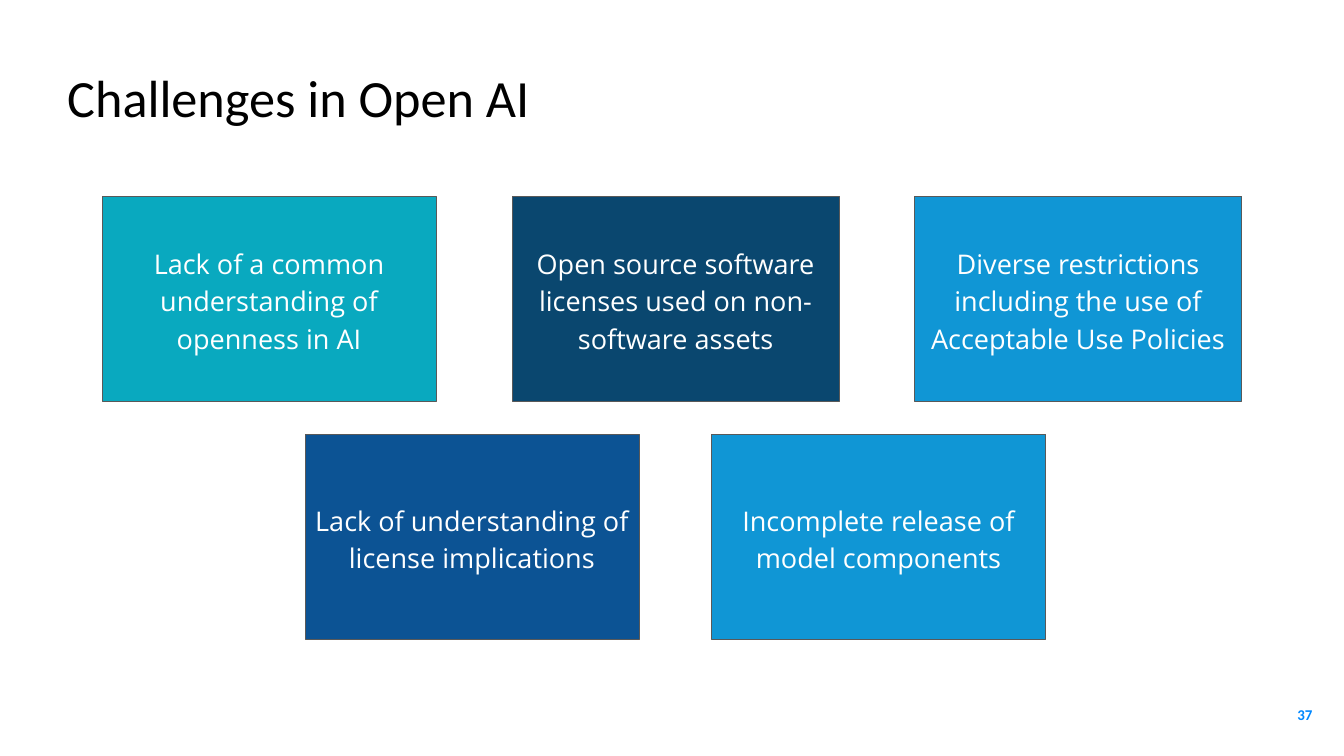
from pptx import Presentation
from pptx.dml.color import RGBColor
from pptx.enum.shapes import MSO_SHAPE
from pptx.enum.text import MSO_ANCHOR, MSO_AUTO_SIZE, PP_ALIGN
from pptx.util import Inches, Pt

RECTANGLE = MSO_SHAPE.RECTANGLE
TOP, MIDDLE = MSO_ANCHOR.TOP, MSO_ANCHOR.MIDDLE
LEFT, CENTER, RIGHT = PP_ALIGN.LEFT, PP_ALIGN.CENTER, PP_ALIGN.RIGHT
NO_AUTOFIT = MSO_AUTO_SIZE.NONE

BLACK = RGBColor(0x00, 0x00, 0x00)
WHITE = RGBColor(0xFF, 0xFF, 0xFF)
GRAY = RGBColor(0x59, 0x59, 0x59)
TEAL = RGBColor(0x09, 0xA9, 0xBF)
NAVY = RGBColor(0x0A, 0x47, 0x6F)
ROYAL_BLUE = RGBColor(0x0C, 0x53, 0x94)
SKY_BLUE = RGBColor(0x10, 0x96, 0xD5)
NUMBER_BLUE = RGBColor(0x00, 0x88, 0xFF)

TOP_ROW, BOTTOM_ROW = 2.92, 6.46
WIDE, NARROW = 4.97, 4.87
CARD_HEIGHT = 3.05
CHALLENGES = [
    (1.52, TOP_ROW, WIDE, TEAL, "Lack of a common understanding of openness in AI"),
    (7.62, TOP_ROW, NARROW, NAVY, "Open source software licenses used on non-software assets"),
    (13.61, TOP_ROW, NARROW, SKY_BLUE,
     "Diverse restrictions including the use of Acceptable Use Policies"),
    (4.54, BOTTOM_ROW, WIDE, ROYAL_BLUE, "Lack of understanding of license implications"),
    (10.59, BOTTOM_ROW, WIDE, SKY_BLUE, "Incomplete release of model components"),
]


class SlideBuilder:
    """Holds the deck style and adds styled elements to the current slide."""

    heading_font = "Calibri"
    card_font = "Open Sans"

    def __init__(self, slide):
        self.slide = slide

    def set_text(self, shape, text, font, size, color, align, anchor, inset, bold=False):
        frame = shape.text_frame
        frame.word_wrap = True
        frame.auto_size = NO_AUTOFIT
        frame.vertical_anchor = anchor
        frame.margin_left = frame.margin_right = Inches(inset)
        frame.margin_top = frame.margin_bottom = Inches(inset)
        paragraph = frame.paragraphs[0]
        paragraph.alignment = align
        run = paragraph.add_run()
        run.text = text
        run.font.name = font
        run.font.size = Pt(size)
        run.font.bold = bold
        run.font.color.rgb = color
        return paragraph

    def title(self, text, left, top, width, height):
        shape = self.slide.shapes.title
        shape.left, shape.top = Inches(left), Inches(top)
        shape.width, shape.height = Inches(width), Inches(height)
        self.set_text(shape, text, self.heading_font, 56, BLACK, LEFT, TOP, 0)

    def page_number(self, text, left, top, width, height):
        box = self.slide.shapes.add_textbox(
            Inches(left), Inches(top), Inches(width), Inches(height))
        self.set_text(box, text, self.heading_font, 16, NUMBER_BLUE, RIGHT, MIDDLE, 0.2, True)

    def card(self, left, top, width, fill, text):
        shape = self.slide.shapes.add_shape(
            RECTANGLE, Inches(left), Inches(top), Inches(width), Inches(CARD_HEIGHT))
        shape.shadow.inherit = False
        shape.fill.solid()
        shape.fill.fore_color.rgb = fill
        shape.line.color.rgb = GRAY
        shape.line.width = Pt(0.75)
        paragraph = self.set_text(shape, text, self.card_font, 29, WHITE, CENTER, MIDDLE, 0.1)
        paragraph.line_spacing = 1.15


def main():
    presentation = Presentation()
    presentation.slide_width = Inches(20)
    presentation.slide_height = Inches(11.25)
    builder = SlideBuilder(presentation.slides.add_slide(presentation.slide_layouts[5]))
    builder.title("Challenges in Open AI", 1, 0.97, 18.64, 1.25)
    builder.page_number("37", 18.53, 10.2, 1.2, 0.86)
    for challenge in CHALLENGES:
        builder.card(*challenge)
    presentation.save("out.pptx")


if __name__ == "__main__":
    main()
